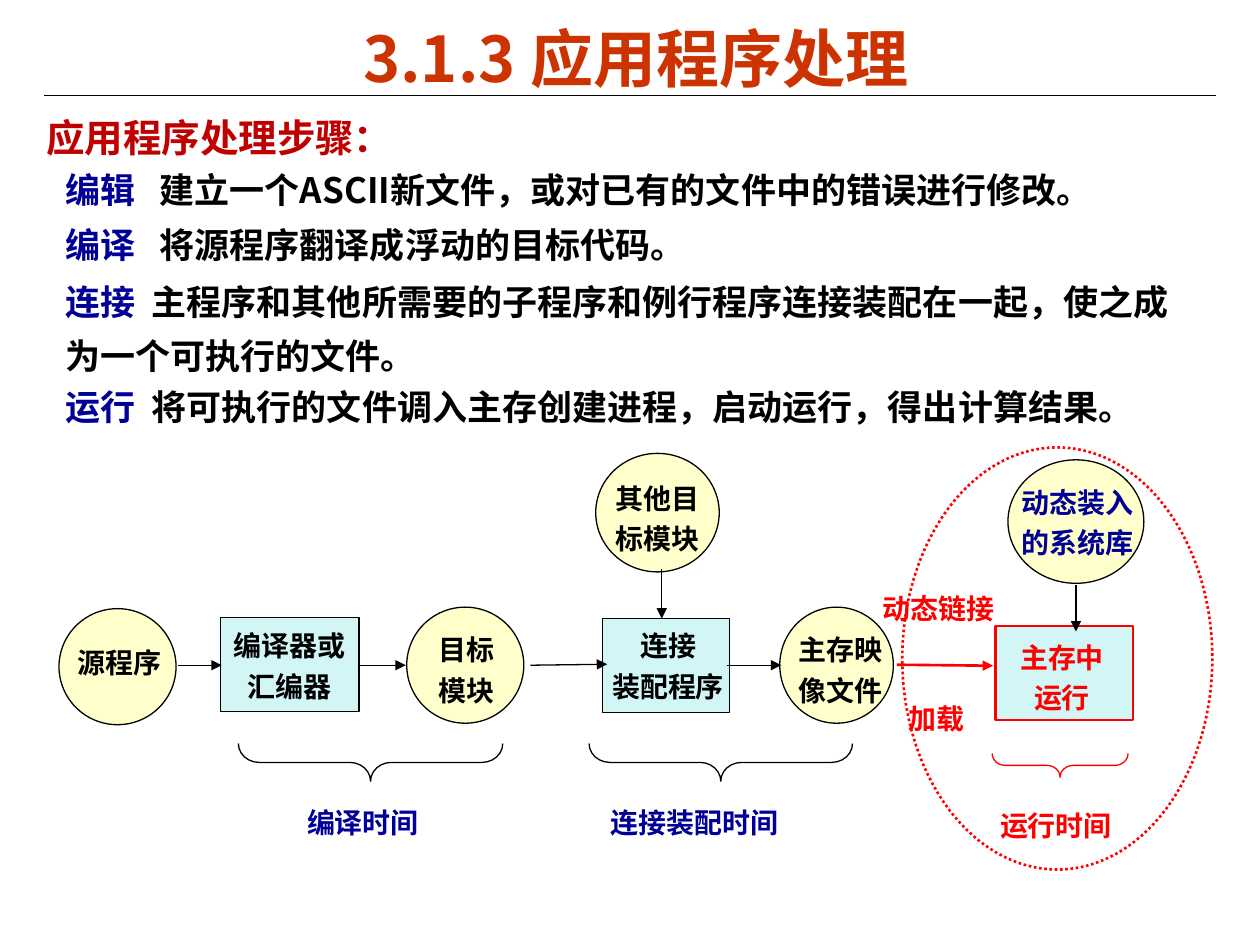
from lxml import etree
from pptx import Presentation
from pptx.dml.color import RGBColor
from pptx.enum.dml import MSO_LINE
from pptx.enum.shapes import MSO_CONNECTOR, MSO_SHAPE
from pptx.enum.text import MSO_ANCHOR, PP_ALIGN
from pptx.oxml.ns import qn
from pptx.util import Cm, Pt

OVAL, RECT, BRACE = MSO_SHAPE.OVAL, MSO_SHAPE.RECTANGLE, MSO_SHAPE.RIGHT_BRACE
STRAIGHT = MSO_CONNECTOR.STRAIGHT
LEFT, CENTER, JUSTIFY = PP_ALIGN.LEFT, PP_ALIGN.CENTER, PP_ALIGN.JUSTIFY
TOP, MIDDLE = MSO_ANCHOR.TOP, MSO_ANCHOR.MIDDLE
DOTTED = MSO_LINE.ROUND_DOT

FONT = "Noto Sans CJK SC"
COLORS = {
    "title": "CC3300", "heading": "C00000", "term": "000099",
    "black": "000000", "red": "FF0000", "circle": "FFFFCC", "step": "D2F5F6",
}
HANG = 0.94    # hanging indent of the diagram labels, cm
MARGIN = 2.54  # usual left margin of the diagram labels, cm


def rgb(name):
    return RGBColor.from_string(COLORS[name])


def add_span(para, text, size, color):
    span = para.add_run()
    span.text = text
    span.font.size, span.font.bold, span.font.name = Pt(size), True, FONT
    span.font.color.rgb = rgb(color)
    etree.SubElement(span.font._element, qn("a:ea")).set("typeface", FONT)


def add_text(page, place, paras, size, align=LEFT, anchor=TOP,
             margin=0, hang=0, spacing=1.0, before=0):
    """Each paragraph is a list of (text, color) spans."""
    box = page.shapes.add_textbox(*map(Cm, place))
    frame = box.text_frame
    frame.word_wrap, frame.vertical_anchor = True, anchor
    for index, spans in enumerate(paras):
        para = frame.add_paragraph() if index else frame.paragraphs[0]
        para.alignment, para.line_spacing = align, spacing
        para.space_before = Pt(before)
        props = para._p.get_or_add_pPr()
        props.set("marL", str(Cm(margin)))
        props.set("indent", str(Cm(-hang)))
        for text, color in spans:
            add_span(para, text, size, color)


def add_label(page, place, lines, color="black", align=CENTER, margin=MARGIN):
    paras = [[(line, color)] for line in lines.split("\n")]
    add_text(page, place, paras, 16, align, margin=margin, hang=HANG, spacing=1.2)


def add_outline(page, kind, place, fill=None, color="black", width=0.75):
    shape = page.shapes.add_shape(kind, *map(Cm, place))
    shape.shadow.inherit = False
    if fill:
        shape.fill.solid()
        shape.fill.fore_color.rgb = rgb(fill)
    else:
        shape.fill.background()
    shape.line.color.rgb, shape.line.width = rgb(color), Pt(width)
    return shape


def add_brace(page, center_x, center_y, length, depth, color="black"):
    place = (center_x - depth / 2, center_y - length / 2, depth, length)
    brace = add_outline(page, BRACE, place, color=color)
    brace.rotation = 90
    brace.adjustments[0] = 0.55


def add_line(page, ends, color="black", width=0.75, arrow=True):
    line = page.shapes.add_connector(STRAIGHT, *map(Cm, ends))
    line.line.color.rgb, line.line.width = rgb(color), Pt(width)
    if arrow:
        etree.SubElement(line.line._get_or_add_ln(), qn("a:tailEnd")).set("type", "triangle")
    etree.SubElement(line._element.spPr, qn("a:effectLst"))


def add_steps_text(page):
    add_line(page, (0.89, 1.93, 24.51, 1.93), arrow=False)
    add_text(page, (0.94, 0.41, 23.75, 1.5), [[("3.1.3 应用程序处理", "title")]],
             36, CENTER, MIDDLE)
    add_text(page, (0.69, 1.9, 7.7, 1.47), [[("应用程序处理步骤：", "heading")]],
             22, spacing=1.3, before=8.2)
    # Top, height, text indent, term, explanation lines
    steps = [
        (3.28, 1.24, 1.9, "编辑", ["建立一个ASCII新文件，或对已有的文件中的错误进行修改。"]),
        (4.39, 1.12, 1.9, "编译", ["将源程序翻译成浮动的目标代码。"]),
        (5.54, 2.36, 1.74, "连接", ["主程序和其他所需要的子程序和例行程序连接装配在一起，使之成",
                                  "为一个可执行的文件。"]),
        (7.65, 1.24, 1.74, "运行", ["将可执行的文件调入主存创建进程，启动运行，得出计算结果。"]),
    ]
    for top, height, indent, term, (first, *rest) in steps:
        paras = [[(term + "\t", "term"), (first, "black")]]
        paras += [[(line, "black")] for line in rest]
        add_text(page, (1.07, top, 23.27, height), paras, 20,
                 margin=indent, hang=indent, before=6.8)


def add_diagram_shapes(page):
    # Modules and files
    for place in [(1.19, 12.27, 2.36, 2.34), (8.2, 12.24, 2.36, 2.34),
                  (15.72, 12.24, 2.29, 2.34), (12.01, 9.14, 2.49, 2.39),
                  (20.32, 9.27, 2.74, 2.49)]:
        add_outline(page, OVAL, place, "circle")
    # Processing steps
    add_outline(page, RECT, (4.45, 12.45, 2.79, 1.9), "step")
    add_outline(page, RECT, (12.14, 12.47, 2.57, 1.9), "step")
    add_outline(page, RECT, (20.07, 12.62, 2.77, 1.9), "step", "red", 1.5)
    # Flow arrows
    for ends in [(3.58, 13.41, 4.47, 13.41), (7.21, 13.41, 8.18, 13.41),
                 (10.69, 13.41, 12.24, 13.39), (14.66, 13.41, 15.75, 13.41),
                 (13.34, 11.48, 13.34, 12.47), (21.69, 11.79, 21.69, 12.73)]:
        add_line(page, ends)
    add_line(page, (18.08, 13.4, 20.02, 13.42), "red", 1.5)
    # Time spans
    add_brace(page, 7.47, 15.37, 5.33, 0.76)
    add_brace(page, 14.53, 15.37, 5.31, 0.76)
    add_brace(page, 21.37, 15.43, 2.74, 0.48, "red")


def add_diagram_labels(page):
    add_label(page, (1.32, 12.75, 2.39, 1.35), "源程序", align=JUSTIFY, margin=HANG)
    add_label(page, (8.59, 12.5, 2.13, 1.9), "目标\n模块", align=JUSTIFY, margin=HANG)
    add_label(page, (14.25, 12.5, 3.96, 1.9), "主存映\n像文件", align=JUSTIFY)
    for place, lines, color in [
        ((2.13, 12.42, 5.82, 1.9), "编译器或\n汇编器", "black"),
        ((9.83, 9.45, 5.26, 2.06), "其他目\n标模块", "black"),
        ((10.36, 12.42, 4.62, 1.9), "连接\n装配程序", "black"),
        ((18.44, 12.65, 4.34, 1.9), "主存中\n运行", "red"),
        ((18.69, 9.53, 4.47, 1.9), "动态装入\n的系统库", "term"),
    ]:
        add_label(page, place, lines, color)
    # Captions of arrows and time spans
    for place, text, color in [
        ((15.95, 11.66, 5.51, 1.24), "动态链接", "red"),
        ((16.46, 13.89, 3.71, 1.24), "加载", "red"),
        ((4.34, 15.98, 5.59, 1.24), "编译时间", "term"),
        ((10.46, 15.98, 5.92, 1.24), "连接装配时间", "term"),
        ((18.31, 16.03, 4.88, 1.3), "运行时间", "red"),
    ]:
        add_label(page, place, text, color, JUSTIFY)


def main():
    deck = Presentation()
    deck.slide_width, deck.slide_height = Cm(25.4), Cm(19.05)
    page = deck.slides.add_slide(deck.slide_layouts[6])
    add_steps_text(page)
    add_diagram_shapes(page)
    add_diagram_labels(page)
    # Run-time stage
    stage = add_outline(page, OVAL, (18.19, 9.02, 6.25, 8.51), color="red", width=1.5)
    stage.line.dash_style = DOTTED
    deck.save("out.pptx")


if __name__ == "__main__":
    main()
